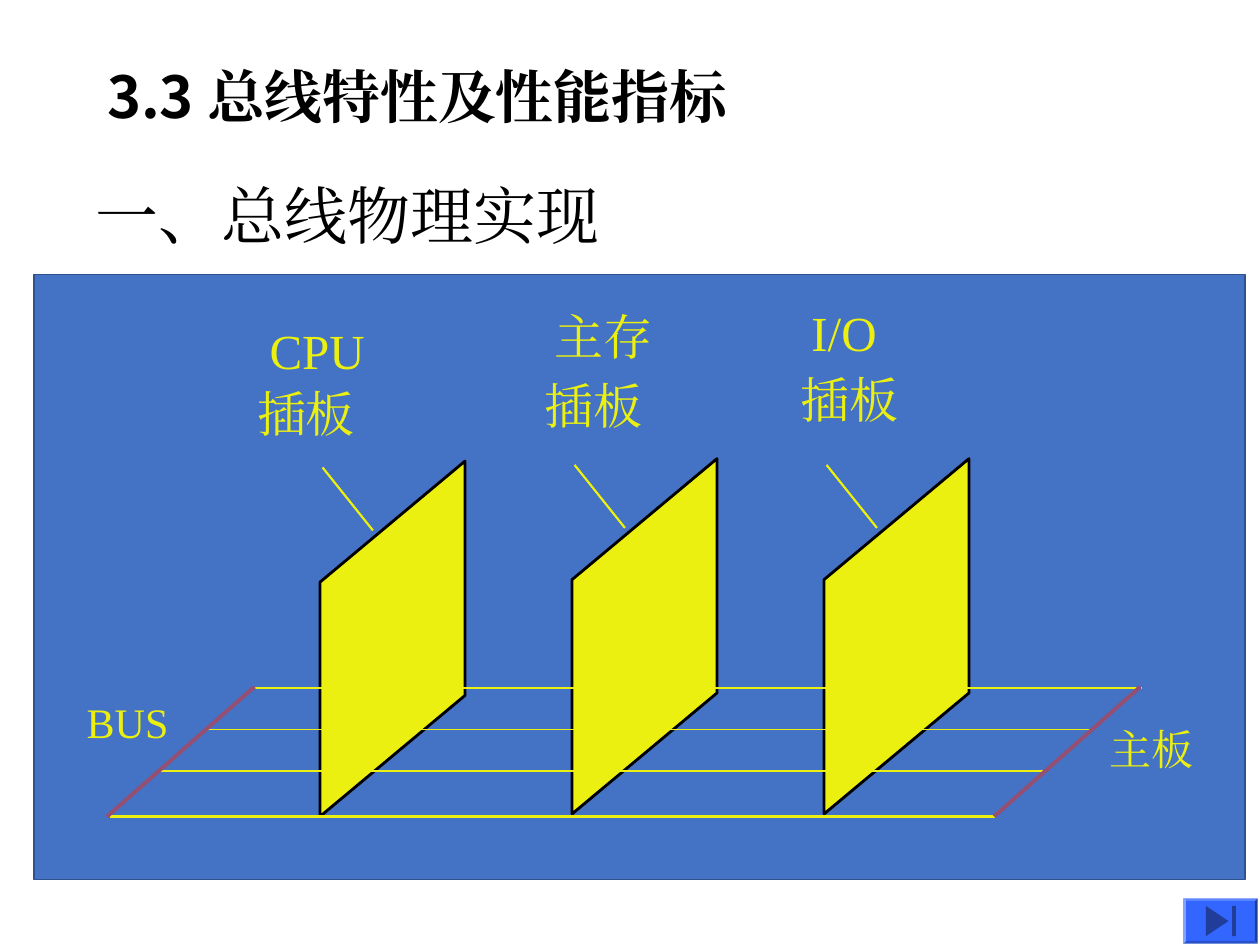
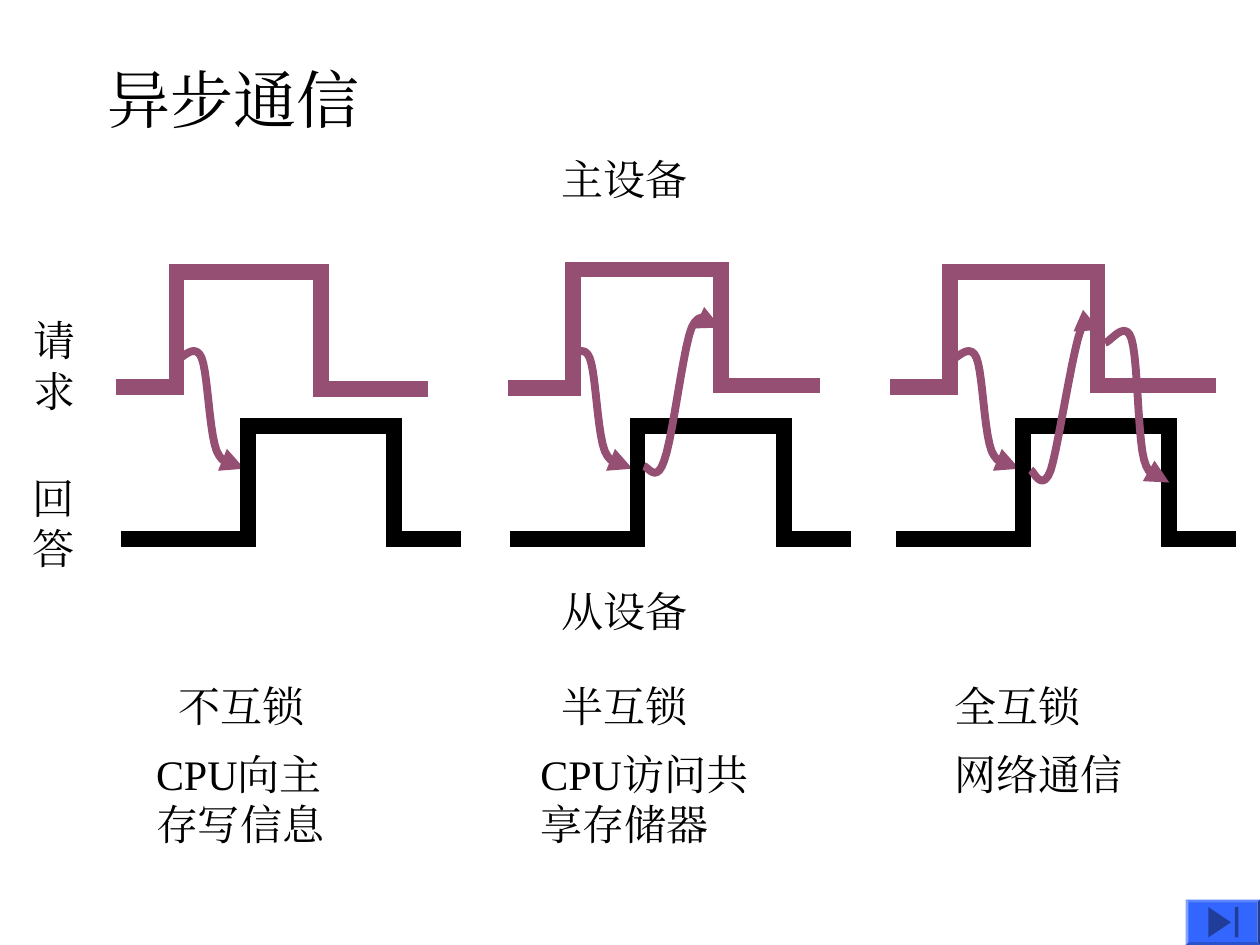
from lxml import etree
from pptx import Presentation
from pptx.dml.color import RGBColor
from pptx.enum.shapes import MSO_CONNECTOR, MSO_SHAPE
from pptx.enum.text import MSO_ANCHOR, MSO_AUTO_SIZE, PP_ALIGN
from pptx.oxml.ns import qn
from pptx.util import Inches, Pt

BLACK = RGBColor(0x00, 0x00, 0x00)
YELLOW = RGBColor(0xEB, 0xF0, 0x10)
PLUM = RGBColor(0x95, 0x4F, 0x72)
PANEL_BLUE = RGBColor(0x44, 0x72, 0xC4)
PANEL_EDGE = RGBColor(0x2F, 0x52, 0x8F)
BUTTON_BLUE = RGBColor(0x33, 0x66, 0xFF)
BUTTON_DARK = RGBColor(0x1F, 0x3D, 0x99)
TIMES = "Times New Roman"
NOTO = "Noto Sans CJK SC"


def write_text(holder, text, size, color=BLACK, font=TIMES, bold=False, wrap=True, inset=True):
    frame = holder.text_frame
    frame.text = text
    frame.word_wrap = wrap
    frame.auto_size = MSO_AUTO_SIZE.NONE
    frame.margin_left = frame.margin_right = Inches(0.1 if inset else 0)
    frame.margin_top = frame.margin_bottom = Inches(0.05 if inset else 0)
    for paragraph in frame.paragraphs:
        paragraph.alignment = PP_ALIGN.LEFT
        for run in paragraph.runs:
            run.font.name = font
            run.font.size = Pt(size)
            run.font.bold = bold
            run.font.color.rgb = color
            etree.SubElement(run.font._element, qn("a:ea"), typeface=TIMES)


def draw_line(slide, x1, y1, x2, y2, color, width):
    line = slide.shapes.add_connector(
        MSO_CONNECTOR.STRAIGHT, Inches(x1), Inches(y1), Inches(x2), Inches(y2))
    line.line.color.rgb = color
    line.line.width = Pt(width)
    etree.SubElement(line._element.spPr, qn("a:effectLst"))


prs = Presentation()
prs.slide_width = Inches(10)
prs.slide_height = Inches(7.5)
title_only = prs.slide_layouts[5]
bus_slide = prs.slides.add_slide(title_only)
async_slide = prs.slides.add_slide(title_only)

titles = [
    (bus_slide, "3.3 总线特性及性能指标", 0.17, 8.5, 1.25, 33, NOTO, True),
    (async_slide, "异步通信", 0.43, 3.07, 0.7, 36, TIMES, False),
]
for slide, text, top, width, height, size, font, bold in titles:
    title = slide.shapes.title
    title.left, title.top = Inches(0.75), Inches(top)
    title.width, title.height = Inches(width), Inches(height)
    write_text(title, text, size, font=font, bold=bold)
    title.text_frame.vertical_anchor = MSO_ANCHOR.MIDDLE
bus_slide.shapes.title.text_frame.paragraphs[0].line_spacing = 0.9

panel = bus_slide.shapes.add_shape(
    MSO_SHAPE.RECTANGLE, Inches(0.27), Inches(2.18), Inches(9.61), Inches(4.8))
panel.shadow.inherit = False
panel.fill.solid()
panel.fill.fore_color.rgb = PANEL_BLUE
panel.line.color.rgb = PANEL_EDGE
panel.line.width = Pt(1)

heading = bus_slide.shapes.add_textbox(Inches(0.66), Inches(1.35), Inches(4.2), Inches(0.7))
write_text(heading, "一、总线物理实现", 36, wrap=False)

boards = [
    ("CPU", 2.14, 2.54, 0.76, 2.04, 3.04, 2.54, 4.62),
    ("主存", 4.4, 2.43, 0.78, 4.32, 2.98, 4.54, 4.6),
    ("I/O", 6.44, 2.4, 0.52, 6.35, 2.93, 6.54, 4.6),
]
for part, part_x, part_y, part_width, card_x, card_y, x, y in boards:
    corners = [(x + 1.15, y - 0.96), (x + 1.15, y + 0.9), (x, y + 1.86)]
    outline = bus_slide.shapes.build_freeform(Inches(x), Inches(y))
    outline.add_line_segments([(Inches(px), Inches(py)) for px, py in corners], close=True)
    board = outline.convert_to_shape()
    board.shadow.inherit = False
    board.fill.solid()
    board.fill.fore_color.rgb = YELLOW
    board.line.color.rgb = BLACK
    board.line.width = Pt(1.62)
    draw_line(bus_slide, x + 0.02, y - 0.91, x + 0.42, y - 0.41, YELLOW, 1.25)
    for text, left, top, width, font in [(part, part_x, part_y, part_width, TIMES),
                                         ("插板", card_x, card_y, 0.78, NOTO)]:
        label = bus_slide.shapes.add_textbox(
            Inches(left), Inches(top), Inches(width), Inches(0.47))
        write_text(label, text, 28, YELLOW, font, wrap=False, inset=False)

bus_wires = [(0.87, 7.9, 6.48, 1.62), (2, 9.06, 5.46, 0.75),
             (1.64, 8.68, 5.79, 0.75), (1.27, 8.3, 6.12, 0.75)]
for left, right, y, width in bus_wires:
    draw_line(bus_slide, left, y, right, y, YELLOW, width)
for back, front in [(2.02, 0.85), (9.05, 7.89)]:
    draw_line(bus_slide, back, 5.45, front, 6.48, PLUM, 2.25)
for text, left, top in [("BUS", 0.59, 5.48), ("主板", 8.71, 5.69)]:
    label = bus_slide.shapes.add_textbox(Inches(left), Inches(top), Inches(0.86), Inches(0.5))
    write_text(label, text, 24, YELLOW, wrap=False)

request_waves = [
    (0.92, 1.4, 2.55, 3.4, 2.16, 3.07, 3.09),
    (4.03, 4.55, 5.72, 6.51, 2.14, 3.08, 3.06),
    (7.06, 7.54, 8.71, 9.65, 2.16, 3.07, 3.06),
]
answer_waves = [(0.96 + dx, 1.97 + dx, 3.13 + dx, 3.66 + dx, 3.38, 4.28, 4.28)
                for dx in (0, 3.09, 6.15)]
request_curve = [(1.43, 2.84), (1.45, 2.84), (1.55, 2.72), (1.6, 2.84), (1.65, 2.96),
                 (1.66, 3.43), (1.72, 3.58), (1.78, 3.72), (1.9, 3.69), (1.94, 3.72)]
request_curves = [[(x + dx, y) for x, y in request_curve] for dx in (0, 3.08, 6.15)]
answer_curves = [
    [(5.11, 3.7), (5.14, 3.7), (5.21, 3.84), (5.27, 3.66), (5.34, 3.48),
     (5.42, 2.77), (5.49, 2.6), (5.57, 2.42), (5.68, 2.6), (5.72, 2.6)],
    [(8.18, 3.73), (8.2, 3.73), (8.27, 3.92), (8.34, 3.73), (8.4, 3.54),
     (8.51, 2.79), (8.58, 2.61), (8.64, 2.42), (8.7, 2.62), (8.73, 2.62)],
    [(8.77, 2.72), (8.81, 2.72), (8.93, 2.53), (8.98, 2.69), (9.03, 2.84),
     (9.03, 3.47), (9.08, 3.65), (9.13, 3.84), (9.25, 3.77), (9.28, 3.83)],
]
CURVE_STEPS = 10
HALF = 0.06
for waves, color, curves in [(request_waves, PLUM, request_curves),
                             (answer_waves, BLACK, answer_curves)]:
    for left, rise, fall, right, high, low_before, low_after in waves:
        for ends in [(left, low_before, rise + HALF, low_before),
                     (rise, high - HALF, rise, low_before + HALF),
                     (rise - HALF, high, fall + HALF, high),
                     (fall, high - HALF, fall, low_after + HALF),
                     (fall - HALF, low_after, right, low_after)]:
            draw_line(async_slide, *ends, color, 9)
    for knots in curves:
        points = []
        for i in range(0, len(knots) - 1, 3):
            for step in range(1, CURVE_STEPS + 1):
                t = step / CURVE_STEPS
                weights = ((1 - t) ** 3, 3 * t * (1 - t) ** 2, 3 * t * t * (1 - t), t ** 3)
                points.append(tuple(
                    Inches(sum(w * knot[axis] for w, knot in zip(weights, knots[i:i + 4])))
                    for axis in (0, 1)))
        outline = async_slide.shapes.build_freeform(Inches(knots[0][0]), Inches(knots[0][1]))
        outline.add_line_segments(points, close=False)
        signal = outline.convert_to_shape()
        signal.shadow.inherit = False
        signal.fill.background()
        signal.line.color.rgb = PLUM
        signal.line.width = Pt(4.5)
        stroke = signal._element.spPr.find(qn("a:ln"))
        etree.SubElement(stroke, qn("a:round"))
        etree.SubElement(stroke, qn("a:tailEnd"), type="triangle")

async_labels = [
    ("主设备", 4.36, 1.17, 2.53, 0.5),
    ("从设备", 4.36, 4.6, 2.95, 0.5),
    ("请\n求", 0.17, 2.45, 0.53, 0.9),
    ("回\n答", 0.16, 3.7, 0.53, 0.9),
    ("不互锁", 1.32, 5.35, 1.67, 0.5),
    ("半互锁", 4.36, 5.35, 1.67, 0.5),
    ("全互锁", 7.48, 5.35, 1.67, 0.5),
    ("CPU向主存写信息", 1.14, 5.89, 1.84, 0.9),
    ("CPU访问共享存储器", 4.19, 5.89, 2.08, 0.9),
    ("网络通信", 7.48, 5.89, 1.67, 0.5),
]
for text, left, top, width, height in async_labels:
    label = async_slide.shapes.add_textbox(
        Inches(left), Inches(top), Inches(width), Inches(height))
    write_text(label, text, 24, wrap=width > 1)

for slide, left, top in [(bus_slide, 9.39, 7.13), (async_slide, 9.41, 7.14)]:
    for kind, dx, dy, width, height, color in [
            (MSO_SHAPE.BEVEL, 0, 0, 0.59, 0.36, BUTTON_BLUE),
            (MSO_SHAPE.ISOSCELES_TRIANGLE, 0.15, 0.09, 0.24, 0.18, BUTTON_DARK),
            (MSO_SHAPE.RECTANGLE, 0.39, 0.06, 0.03, 0.24, BUTTON_DARK)]:
        piece = slide.shapes.add_shape(
            kind, Inches(left + dx), Inches(top + dy), Inches(width), Inches(height))
        piece.shadow.inherit = False
        piece.fill.solid()
        piece.fill.fore_color.rgb = color
        piece.line.fill.background()
        if kind == MSO_SHAPE.BEVEL:
            piece.adjustments[0] = 0.06
        if kind == MSO_SHAPE.ISOSCELES_TRIANGLE:
            piece.rotation = 90

prs.save("out.pptx")
